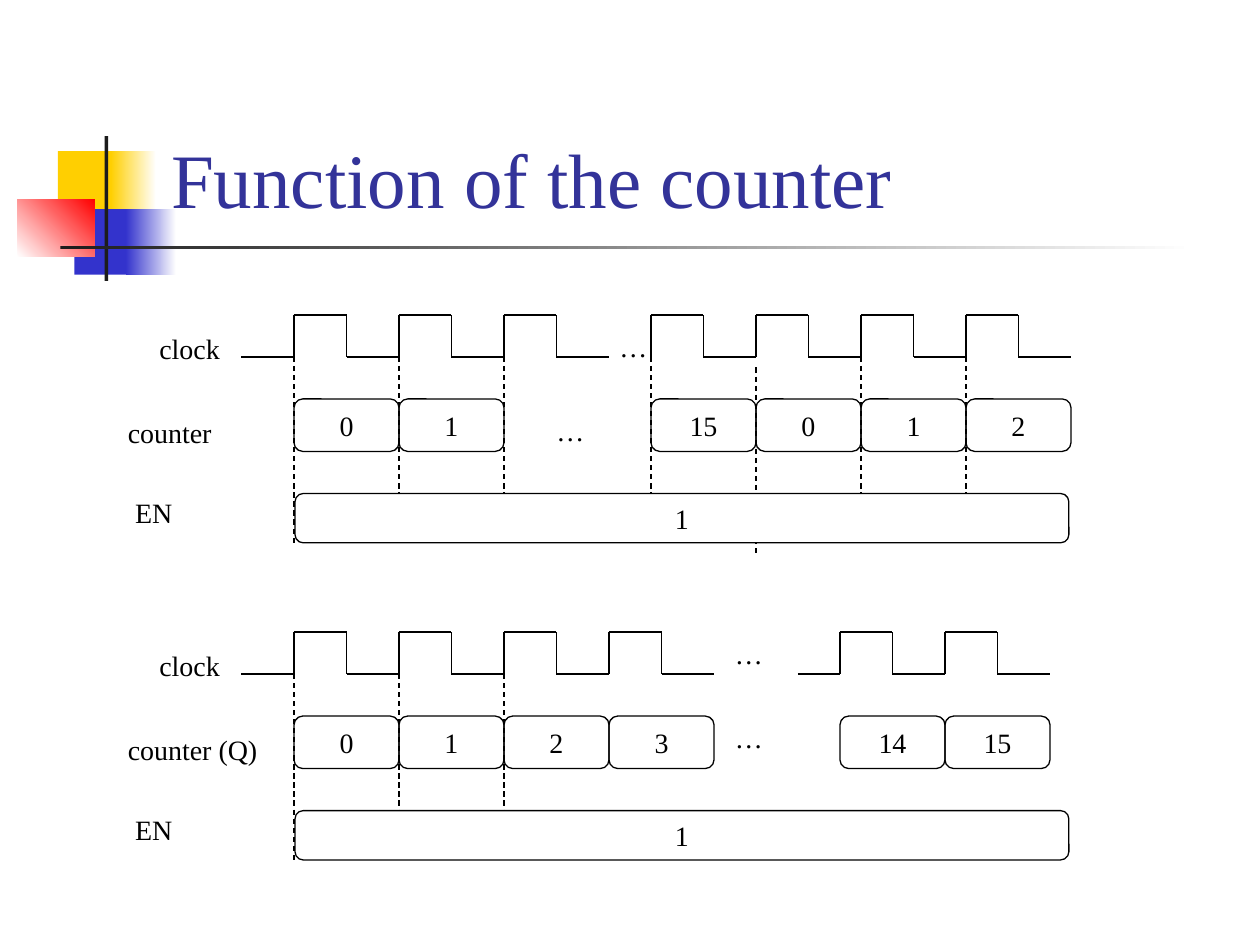
from lxml.etree import SubElement
from pptx import Presentation
from pptx.dml.color import RGBColor
from pptx.enum.dml import MSO_LINE
from pptx.enum.shapes import MSO_CONNECTOR, MSO_SHAPE
from pptx.enum.text import MSO_ANCHOR, MSO_AUTO_SIZE, PP_ALIGN
from pptx.oxml.ns import qn
from pptx.util import Inches, Pt

COLORS = {"black": "000000", "white": "FFFFFF", "title": "333399", "yellow": "FFCF01",
          "blue": "3333CC", "red": "FF0000", "bar": "1C1C1C"}
FONT = "Times New Roman"

# The timing diagrams sit on a grid of twelve units to the inch.
HALF = 5                  # half a clock cycle
CYCLE = 2 * HALF
LOW = 4                   # clock low level, below the high level
BUS_TOP, BUS_HEIGHT = 8, 5
EN_LEFT, EN_TOP, EN_WIDTH, EN_HEIGHT = 28.1, 17, 73.7, 4.7
GUIDE_LENGTH = 18


def units(n):
    return Inches(n / 12)


def rgb(name):
    return RGBColor.from_string(COLORS[name])


def write(sp, text, size=16, color="black", align=PP_ALIGN.LEFT,
          anchor=MSO_ANCHOR.TOP, wrap=False):
    tf = sp.text_frame
    tf.word_wrap = wrap
    tf.vertical_anchor = anchor
    p = tf.paragraphs[0]
    p.alignment = align
    r = p.add_run()
    r.text = text
    r.font.name, r.font.size = FONT, Pt(size)
    r.font.color.rgb = rgb(color)


def add_block(slide, box, colors, angle=0):
    """Borderless rectangle: one colour is solid, two make a gradient."""
    sp = slide.shapes.add_shape(MSO_SHAPE.RECTANGLE, *map(Inches, box))
    sp.shadow.inherit = False
    sp.line.fill.background()
    if len(colors) == 1:
        sp.fill.solid()
        sp.fill.fore_color.rgb = rgb(colors[0])
        return
    sp.fill.gradient()
    sp.fill.gradient_angle = angle
    for stop, color, position in zip(sp.fill.gradient_stops, colors, (0, 1)):
        stop.color.rgb = rgb(color)
        stop.position = position


def add_line(shapes, x1, y1, x2, y2, dashed=False):
    c = shapes.add_connector(MSO_CONNECTOR.STRAIGHT, *map(units, (x1, y1, x2, y2)))
    c.line.color.rgb = rgb("black")
    c.line.width = Pt(0.75)
    if dashed:
        c.line.dash_style = MSO_LINE.DASH
    SubElement(c._element.spPr, qn("a:effectLst"))


def add_label(shapes, text, x, y, width):
    sp = shapes.add_textbox(units(x), units(y), Inches(width), Inches(0.37))
    write(sp, text)
    sp.text_frame.auto_size = MSO_AUTO_SIZE.SHAPE_TO_FIT_TEXT


def add_value_box(shapes, text, x, y, width, height, filled=False):
    sp = shapes.add_shape(MSO_SHAPE.ROUNDED_RECTANGLE, *map(units, (x, y, width, height)))
    sp.adjustments[0] = 0.167
    sp.shadow.inherit = False
    sp.line.color.rgb = rgb("black")
    sp.line.width = Pt(0.75)
    if filled:
        sp.fill.solid()
        sp.fill.fore_color.rgb = rgb("white")
    else:
        sp.fill.background()
    write(sp, text, align=PP_ALIGN.CENTER, anchor=MSO_ANCHOR.MIDDLE)


def add_pulse(shapes, x, top):
    """One clock cycle: rise, high half, fall, low half."""
    low = top + LOW
    corners = [(x, low), (x, top), (x + HALF, top), (x + HALF, low), (x + CYCLE, low)]
    for start, end in zip(corners, corners[1:]):
        add_line(shapes, *start, *end)


def add_timing_diagram(slide, top, counter, pulses, values, lead_ins, guides, ellipses):
    """pulses: left edges; values: {left edge: text}; guides: (x, drop below low level);
    ellipses: (x, offset from top)."""
    shapes = slide.shapes.add_group_shape().shapes
    low = top + LOW
    for x, length in lead_ins:
        add_line(shapes, x, low, x + length, low)
    for x in pulses:
        add_pulse(shapes, x, top)
    for x, drop in guides:
        add_line(shapes, x, low + drop, x, low + drop + GUIDE_LENGTH, dashed=True)
    for x, text in values.items():
        add_value_box(shapes, text, x, top + BUS_TOP, CYCLE, BUS_HEIGHT)
    add_value_box(shapes, "1", EN_LEFT, top + EN_TOP, EN_WIDTH, EN_HEIGHT, filled=True)
    add_label(shapes, "clock", 14, top + 1, 0.68)
    add_label(shapes, *counter[:1], 11, top + 9, counter[1])
    add_label(shapes, "EN", 11.7, top + 16.6, 0.5)
    for x, offset in ellipses:
        add_label(shapes, "…", x, top + offset, 0.42)


def add_title(slide, text):
    sp = slide.shapes.add_textbox(*map(Inches, (1.26, 0.23, 8.52, 1.6)))
    write(sp, text, size=44, color="title", anchor=MSO_ANCHOR.BOTTOM, wrap=True)


def add_decoration(slide):
    add_block(slide, (0.46, 1.2, 0.48, 0.52), ["yellow"])
    add_block(slide, (0.88, 1.2, 0.36, 0.52), ["yellow", "white"])
    add_block(slide, (0.59, 1.66, 0.46, 0.52), ["blue"])
    add_block(slide, (1, 1.66, 0.4, 0.52), ["blue", "white"])
    add_block(slide, (0.14, 1.58, 0.61, 0.46), ["white", "red"], angle=45)
    add_block(slide, (0.83, 1.08, 0.03, 1.15), ["bar"])
    add_block(slide, (0.48, 1.95, 9, 0.03), ["bar", "white"])


def main():
    prs = Presentation()
    prs.slide_width, prs.slide_height = Inches(10), Inches(7.5)
    slide = prs.slides.add_slide(prs.slide_layouts[6])
    add_decoration(slide)
    add_title(slide, "Function of the counter")

    first = [28, 38, 48]
    wrapped = [62, 72, 82, 92]
    add_timing_diagram(
        slide, 30, ("counter", 0.87), first + wrapped,
        {28: "0", 38: "1", 62: "15", 72: "0", 82: "1", 92: "2"},
        lead_ins=[(23, 5)],
        guides=[(x, 1 if x == 72 else 0) for x in first + wrapped],
        ellipses=[(57.8, 0.8), (51.8, 8.8)])
    add_timing_diagram(
        slide, 60.2, ("counter (Q)", 1.23), first + [58, 80, 90],
        {28: "0", 38: "1", 48: "2", 58: "3", 80: "14", 90: "15"},
        lead_ins=[(23, 5), (76, 4)],
        guides=[(x, 0) for x in first],
        ellipses=[(68.8, -0.2), (68.8, 7.8)])
    prs.save("out.pptx")


if __name__ == "__main__":
    main()
